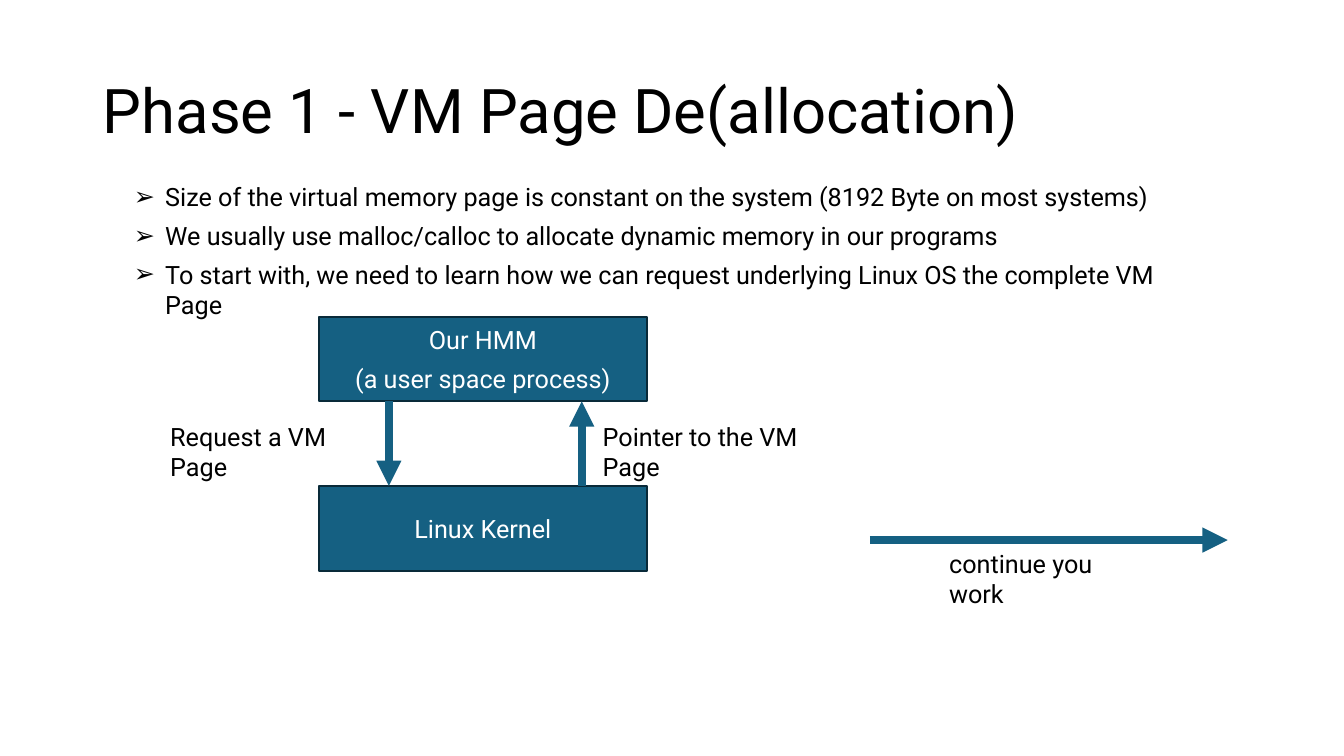
import pptx
import pptx.dml.color
import pptx.enum.shapes
import pptx.enum.text
import pptx.oxml.ns
import pptx.util
import lxml.etree

Cm = pptx.util.Cm
Pt = pptx.util.Pt
FONT = "Roboto"
BLACK, WHITE, TEAL, DARK_TEAL = "000000", "FFFFFF", "156082", "092A39"
TEXT_SIZE = 18
BULLET_INDENT = 0.79


def color(hex_text):
    return pptx.dml.color.RGBColor.from_string(hex_text)


def add_run(paragraph, text, size=TEXT_SIZE, hex_color=BLACK):
    run = paragraph.add_run()
    run.text = text
    run.font.name = FONT
    run.font.size = Pt(size)
    run.font.color.rgb = color(hex_color)


def add_paragraphs(text_frame, lines, space_after=6, hex_color=BLACK, alignment=None):
    for index, line in enumerate(lines):
        paragraph = text_frame.add_paragraph() if index else text_frame.paragraphs[0]
        paragraph.space_before = Pt(0)
        paragraph.space_after = Pt(space_after)
        paragraph.alignment = alignment
        add_run(paragraph, line, hex_color=hex_color)


def place(shape, left, top, width, height):
    shape.left, shape.top = Cm(left), Cm(top)
    shape.width, shape.height = Cm(width), Cm(height)


def add_bullet(paragraph, character):
    properties = paragraph._p.get_or_add_pPr()
    properties.set("marL", str(Cm(BULLET_INDENT)))
    properties.set("indent", str(-Cm(BULLET_INDENT)))
    bullet = lxml.etree.SubElement(properties, pptx.oxml.ns.qn("a:buChar"))
    bullet.set("char", character)


def add_label(slide, text, left, top, width, space_after=6):
    label = slide.shapes.add_textbox(Cm(left), Cm(top), Cm(width), Cm(1.02))
    label.text_frame.word_wrap = True
    label.text_frame.auto_size = pptx.enum.text.MSO_AUTO_SIZE.SHAPE_TO_FIT_TEXT
    add_paragraphs(label.text_frame, [text], space_after)


def add_arrow(slide, start_x, start_y, end_x, end_y):
    arrow = slide.shapes.add_connector(
        pptx.enum.shapes.MSO_CONNECTOR.STRAIGHT,
        Cm(start_x), Cm(start_y), Cm(end_x), Cm(end_y))
    arrow.line.color.rgb = color(TEAL)
    arrow.line.width = Pt(6)
    tail = lxml.etree.SubElement(
        arrow.line._get_or_add_ln(), pptx.oxml.ns.qn("a:tailEnd"))
    tail.set("type", "triangle")
    lxml.etree.SubElement(
        arrow._element.spPr, pptx.oxml.ns.qn("a:effectLst"))


def add_block(slide, lines, left, top, width, height):
    block = slide.shapes.add_shape(
        pptx.enum.shapes.MSO_SHAPE.RECTANGLE,
        Cm(left), Cm(top), Cm(width), Cm(height))
    block.shadow.inherit = False
    block.fill.solid()
    block.fill.fore_color.rgb = color(TEAL)
    block.line.color.rgb = color(DARK_TEAL)
    block.line.width = Pt(1.5)
    block.text_frame.word_wrap = True
    block.text_frame.vertical_anchor = pptx.enum.text.MSO_ANCHOR.MIDDLE
    add_paragraphs(block.text_frame, lines, hex_color=WHITE,
                   alignment=pptx.enum.text.PP_ALIGN.CENTER)


def fill_title(slide, left, top, width, height):
    title = slide.shapes.title
    place(title, left, top, width, height)
    title.text_frame.auto_size = pptx.enum.text.MSO_AUTO_SIZE.NONE
    title.text_frame.vertical_anchor = pptx.enum.text.MSO_ANCHOR.MIDDLE
    paragraph = title.text_frame.paragraphs[0]
    paragraph.alignment = pptx.enum.text.PP_ALIGN.LEFT
    paragraph.line_spacing = 0.9
    add_run(paragraph, "Phase 1 - VM Page De(allocation)", 44)


def fill_bullets(slide, left, top, width, height):
    body = slide.placeholders[1]
    place(body, left, top, width, height)
    body.text_frame.auto_size = pptx.enum.text.MSO_AUTO_SIZE.NONE
    add_paragraphs(body.text_frame, [
        "Size of the virtual memory page is constant on the system "
        "(8192 Byte on most systems)",
        "We usually use malloc/calloc to allocate dynamic memory in our programs",
        "To start with, we need to learn how we can request underlying "
        "Linux OS the complete VM Page",
    ])
    for paragraph in body.text_frame.paragraphs:
        add_bullet(paragraph, "➢")


def draw_request_diagram(slide, left, top, width, height):
    # Two blocks and the gap between them share the height equally
    step = height / 3
    block_left, block_width = left + 3.99, 8.28
    gap_top, gap_bottom = top + step, top + 2 * step
    add_block(slide, ["Our HMM", "(a user space process)"],
              block_left, top, block_width, step)
    add_block(slide, ["Linux Kernel"], block_left, gap_bottom, block_width, step)

    # Request goes down, pointer comes back up
    request_x, pointer_x = block_left + 1.77, block_left + 6.63
    add_arrow(slide, request_x, gap_top, request_x, gap_bottom)
    add_arrow(slide, pointer_x, gap_bottom, pointer_x, gap_top)
    label_top = gap_top + 0.38
    add_label(slide, "Request a VM Page", left, label_top, request_x - left)
    pointer_left = pointer_x + 0.28
    add_label(slide, "Pointer to the VM Page", pointer_left, label_top,
              left + width - pointer_left)


def draw_continue_arrow(slide, left, top, width):
    add_arrow(slide, left, top, left + width, top)
    add_label(slide, "continue you work", left + 1.75, top + 0.08, 5.54, 0)


def build_slide(presentation):
    slide = presentation.slides.add_slide(presentation.slide_layouts[1])
    fill_title(slide, 2.34, 1.02, 29.21, 3.68)
    fill_bullets(slide, 3.12, 4.45, 27.61, 11.96)
    draw_request_diagram(slide, 4.04, 7.98, 17.6, 6.4)
    draw_continue_arrow(slide, 21.92, 13.61, 9.02)


def main():
    presentation = pptx.Presentation()
    presentation.slide_width = Cm(33.87)
    presentation.slide_height = Cm(19.05)
    build_slide(presentation)
    presentation.save("out.pptx")


if __name__ == "__main__":
    main()
